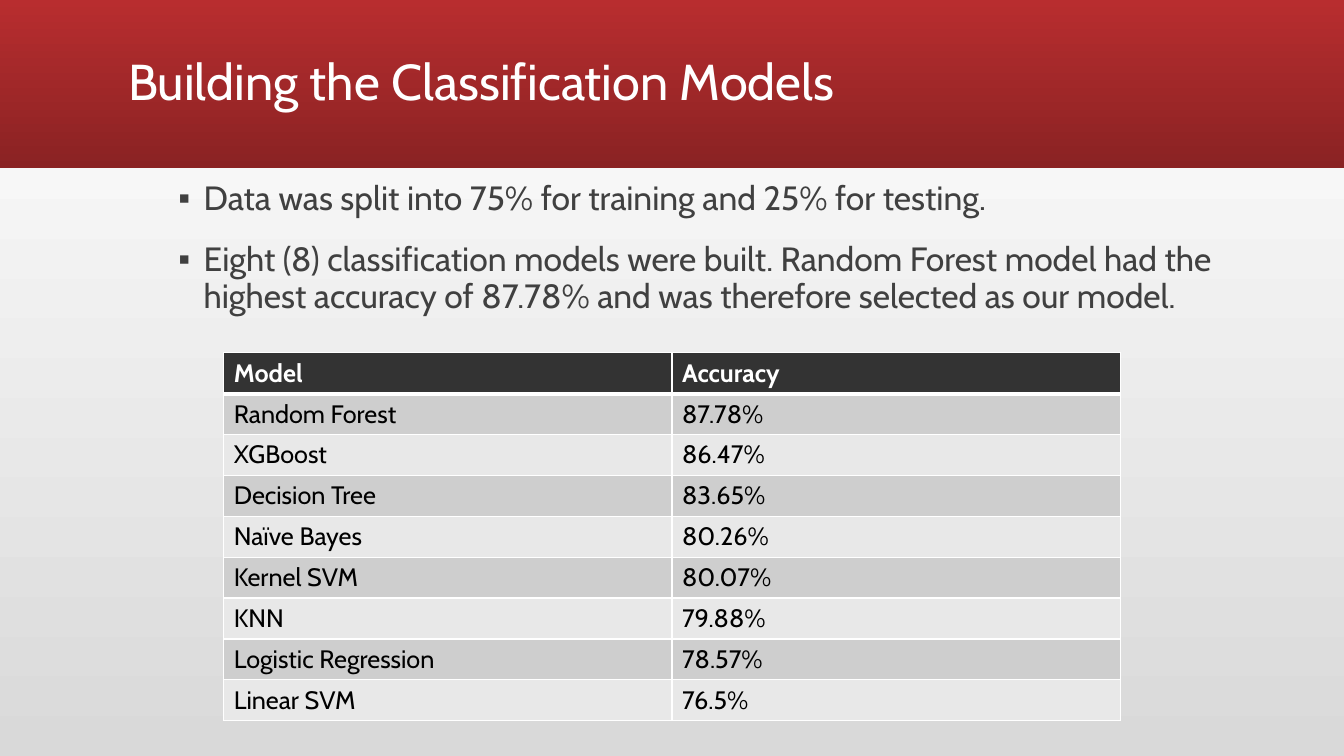
from lxml import etree
from pptx import Presentation
from pptx.dml.color import RGBColor
from pptx.enum.shapes import MSO_SHAPE
from pptx.enum.text import MSO_ANCHOR, MSO_AUTO_SIZE, PP_ALIGN
from pptx.oxml.ns import qn
from pptx.util import Inches, Pt

RECTANGLE = MSO_SHAPE.RECTANGLE
MIDDLE, TOP = MSO_ANCHOR.MIDDLE, MSO_ANCHOR.TOP
NO_AUTOFIT = MSO_AUTO_SIZE.NONE
LEFT = PP_ALIGN.LEFT

FONT = "Cabin"
WHITE, BLACK, GREY = "FFFFFF", "000000", "404040"
HEADER_FILL = "333333"
BAND_FILLS = ["CECECE", "E8E8E8"]
TITLE = "Building the Classification Models"
BULLETS = [
    "Data was split into 75% for training and 25% for testing.",
    "Eight (8) classification models were built. Random Forest model had the "
    "highest accuracy of 87.78% and was therefore selected as our model.",
]
ACCURACY_ROWS = [
    ("Model", "Accuracy"),
    ("Random Forest", "87.78%"),
    ("XGBoost", "86.47%"),
    ("Decision Tree", "83.65%"),
    ("Naïve Bayes", "80.26%"),
    ("Kernel SVM", "80.07%"),
    ("KNN", "79.88%"),
    ("Logistic Regression", "78.57%"),
    ("Linear SVM", "76.5%"),
]


def color(value):
    return RGBColor.from_string(value)


def set_gradient(fill, colors, angle):
    fill.gradient()
    fill.gradient_angle = angle
    for stop, value in zip(fill.gradient_stops, colors):
        stop.color.rgb = color(value)


def add_run(paragraph, text, size, value, bold=False):
    run = paragraph.add_run()
    run.text = text
    run.font.name = FONT
    run.font.size = Pt(size)
    run.font.bold = bold
    run.font.color.rgb = color(value)


def place(shape, left, top, width, height, anchor):
    shape.left, shape.top = Inches(left), Inches(top)
    shape.width, shape.height = Inches(width), Inches(height)
    frame = shape.text_frame
    frame.word_wrap = True
    frame.auto_size = NO_AUTOFIT
    frame.vertical_anchor = anchor
    return frame


def add_title_band(slide):
    band = slide.shapes.add_shape(RECTANGLE, 0, 0, Inches(13.33), Inches(1.67))
    band.shadow.inherit = False
    band.line.fill.background()
    set_gradient(band.fill, ["B82D2F", "8A2223"], 270)
    slide.shapes.title.element.addprevious(band.element)


def fill_title(title):
    frame = place(title, 1.17, 0.11, 11, 1.45, MIDDLE)
    paragraph = frame.paragraphs[0]
    paragraph.alignment = LEFT
    paragraph.line_spacing = 0.9
    add_run(paragraph, TITLE, 36, WHITE)


def set_bullet(paragraph):
    properties = paragraph._p.get_or_add_pPr()
    properties.set("marL", str(Inches(0.25)))
    properties.set("indent", str(-Inches(0.25)))
    etree.SubElement(properties, qn("a:buChar")).set("char", "▪")


def fill_bullets(body):
    frame = place(body, 1.67, 1.75, 10.67, 5.4, TOP)
    for index, text in enumerate(BULLETS):
        paragraph = frame.add_paragraph() if index else frame.paragraphs[0]
        paragraph.line_spacing = 0.9
        paragraph.space_before = Pt(18)
        set_bullet(paragraph)
        add_run(paragraph, text, 24, GREY)


def set_borders(cell, top, bottom):
    properties = cell._tc.get_or_add_tcPr()
    widths = {"lnL": 1, "lnR": 1, "lnT": top, "lnB": bottom}
    for index, (side, width) in enumerate(widths.items()):
        line = etree.Element(qn(f"a:{side}"), w=str(Pt(width)))
        solid = etree.SubElement(line, qn("a:solidFill"))
        etree.SubElement(solid, qn("a:srgbClr")).set("val", WHITE)
        properties.insert(index, line)


def add_accuracy_table(slide):
    row_count = len(ACCURACY_ROWS)
    frame = slide.shapes.add_table(
        row_count, 2, Inches(2.22), Inches(3.5), Inches(8.89), Inches(3.65)
    )
    table = frame.table
    table.horz_banding = False
    for row_index, values in enumerate(ACCURACY_ROWS):
        header = row_index == 0
        fill = HEADER_FILL if header else BAND_FILLS[(row_index - 1) % 2]
        for column_index, text in enumerate(values):
            cell = table.cell(row_index, column_index)
            cell.fill.solid()
            cell.fill.fore_color.rgb = color(fill)
            set_borders(cell, 3 if row_index == 1 else 1, 3 if header else 1)
            paragraph = cell.text_frame.paragraphs[0]
            add_run(paragraph, text, 18, WHITE if header else BLACK, header)


def main():
    presentation = Presentation()
    presentation.slide_width = Inches(13.33)
    presentation.slide_height = Inches(7.5)
    slide = presentation.slides.add_slide(presentation.slide_layouts[1])
    set_gradient(slide.background.fill, ["D9D9D9", "FFFFFF"], 90)
    add_title_band(slide)
    fill_title(slide.shapes.title)
    fill_bullets(slide.placeholders[1])
    add_accuracy_table(slide)
    presentation.save("out.pptx")


if __name__ == "__main__":
    main()
